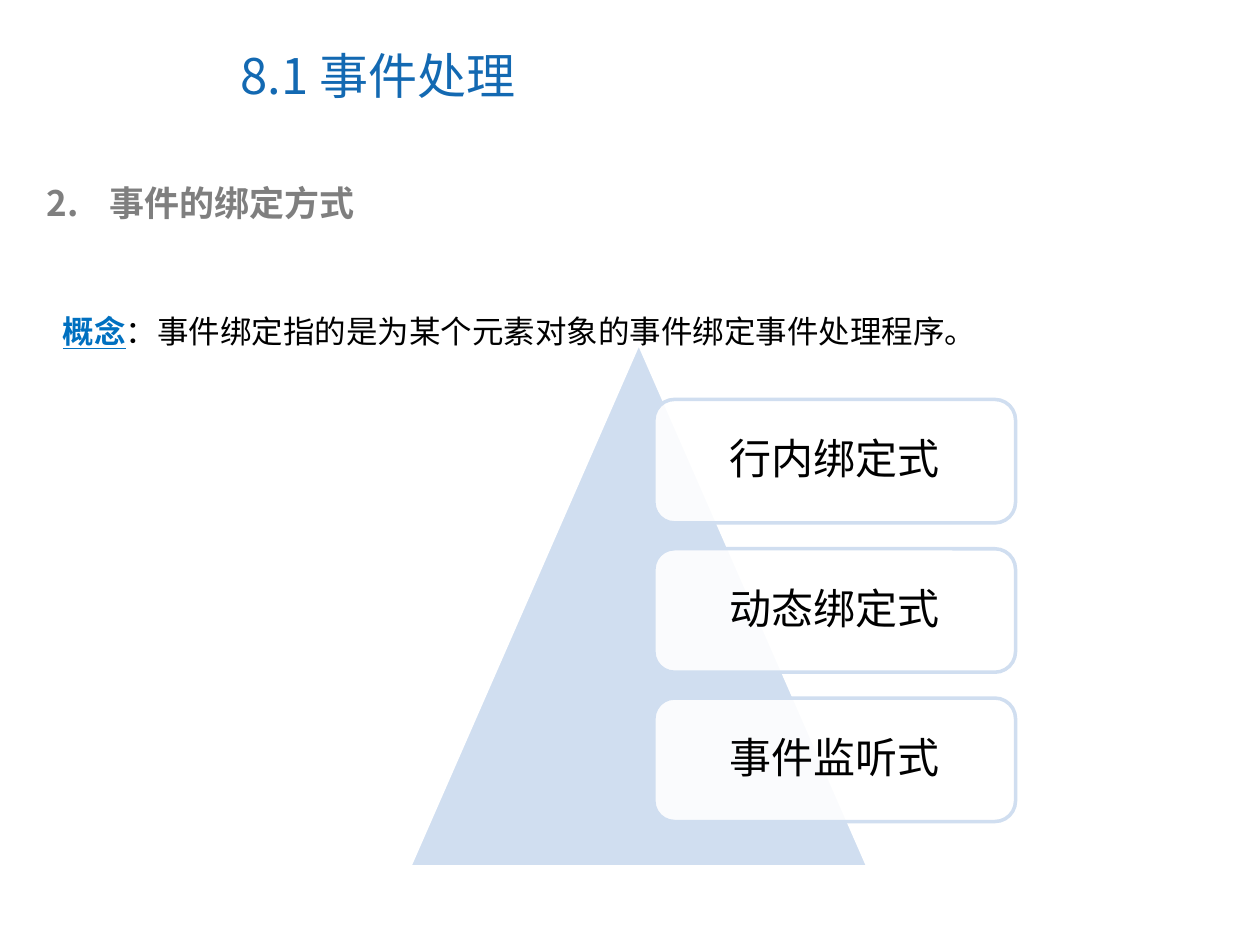
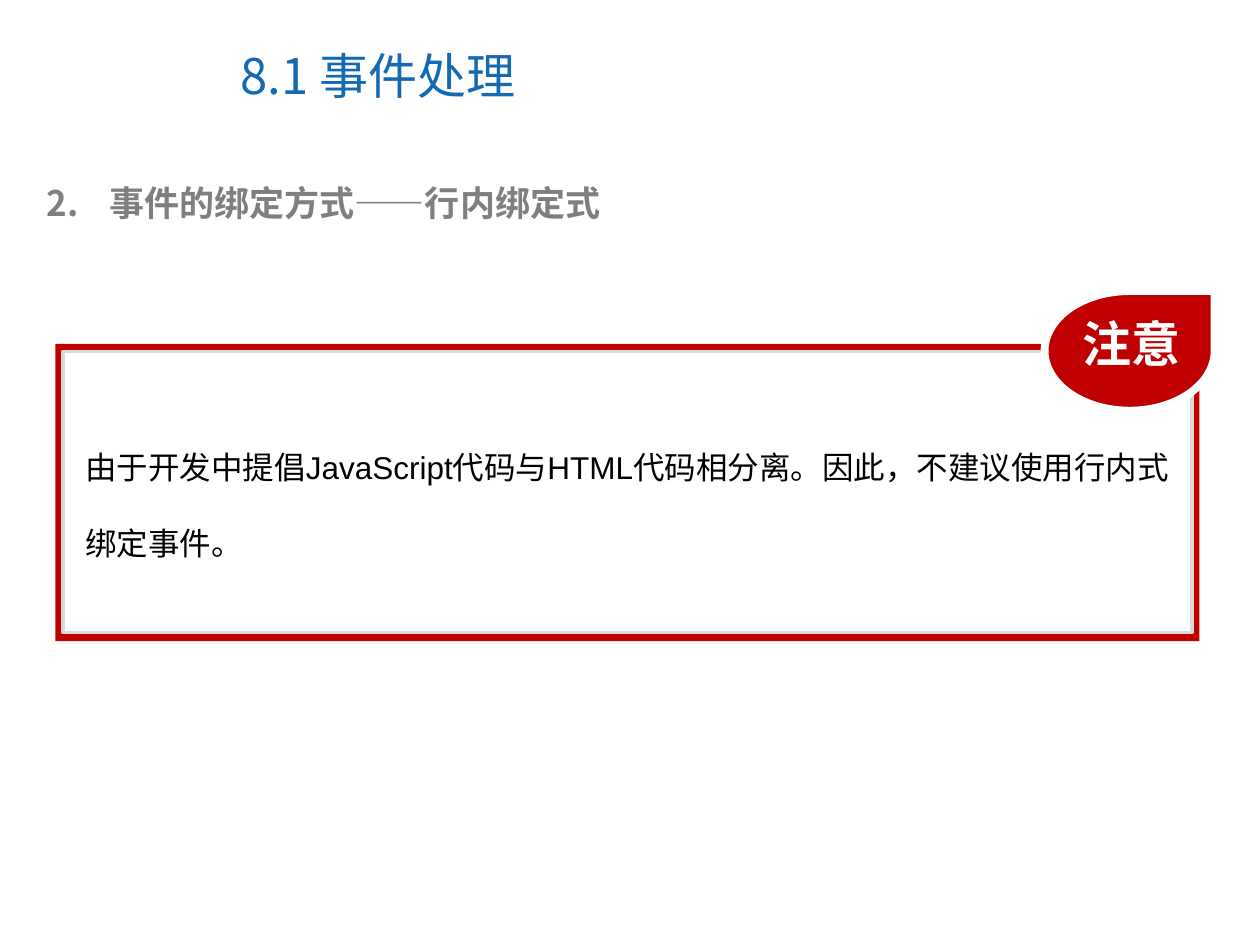
from dataclasses import dataclass

from lxml import etree
from pptx import Presentation
from pptx.dml.color import RGBColor
from pptx.enum.shapes import MSO_SHAPE
from pptx.enum.text import MSO_ANCHOR, MSO_AUTO_SIZE, PP_ALIGN
from pptx.oxml.ns import qn
from pptx.util import Inches, Pt

LEFT, CENTER = PP_ALIGN.LEFT, PP_ALIGN.CENTER
MIDDLE = MSO_ANCHOR.MIDDLE
NO_FIT, GROW = MSO_AUTO_SIZE.NONE, MSO_AUTO_SIZE.SHAPE_TO_FIT_TEXT
RECT, ROUND = MSO_SHAPE.RECTANGLE, MSO_SHAPE.ROUNDED_RECTANGLE
PEAK, DROP = MSO_SHAPE.ISOSCELES_TRIANGLE, MSO_SHAPE.TEAR

COLORS = {
    "title": "1369B2", "head": "7F7F7F", "key": "0070C0", "text": "000000",
    "pale": "D0DEF0", "red": "C00000", "white": "FFFFFF", "edge": "D9D9D9",
}
SANS, BODY = "Noto Sans CJK SC", "Arial"
TITLE = "8.1 事件处理"


@dataclass
class Box:
    left: float
    top: float
    width: float
    height: float

    def place(self) -> tuple:
        return tuple(map(Inches, (self.left, self.top, self.width, self.height)))


@dataclass
class Style:
    size: float
    color: str
    face: str = BODY
    bold: bool = False


TITLE_STYLE = Style(28, "title", SANS)
HEAD_STYLE = Style(20, "head", SANS, True)
BODY_STYLE = Style(18, "text")
CARD_STYLE = Style(24, "text")
BADGE_STYLE = Style(28, "white", SANS, True)


def rgb(name: str) -> RGBColor:
    return RGBColor.from_string(COLORS[name])


def format_par(par, style: Style) -> None:
    font = par.font
    font.size, font.bold, font.name = Pt(style.size), style.bold, style.face
    font.color.rgb = rgb(style.color)
    base = par._p.get_or_add_pPr().find(qn("a:defRPr"))
    etree.SubElement(base, qn("a:ea"), typeface=SANS)


def add_text(slide, box: Box, text: str, style: Style, wrap=True, lines=None):
    frame = slide.shapes.add_textbox(*box.place()).text_frame
    frame.word_wrap, frame.auto_size = wrap, GROW
    par = frame.paragraphs[0]
    par.text = text
    if lines:
        par.line_spacing = lines
    format_par(par, style)
    return par


def add_form(slide, kind, box: Box, fill: str, edge=None, weight=2.0):
    form = slide.shapes.add_shape(kind, *box.place())
    form.shadow.inherit = False
    form.fill.solid()
    form.fill.fore_color.rgb = rgb(fill)
    if edge:
        form.line.color.rgb = rgb(edge)
        form.line.width = Pt(weight)
    else:
        form.line.fill.background()
    return form


def add_head(slide, text: str) -> None:
    par = add_text(slide, Box(0.27, 1.39, 9.22, 0.44), text, HEAD_STYLE)
    props = par._p.get_or_add_pPr()
    props.set("marL", str(Inches(0.5)))
    props.set("indent", str(Inches(-0.5)))
    # Numbering goes ahead of the default run properties
    tint = etree.Element(qn("a:buClr"))
    etree.SubElement(tint, qn("a:srgbClr"), val=COLORS["head"])
    count = etree.Element(qn("a:buAutoNum"), type="arabicPeriod", startAt="2")
    base = props.find(qn("a:defRPr"))
    base.addprevious(tint)
    base.addprevious(count)


def add_page(deck, head: str):
    slide = deck.slides.add_slide(deck.slide_layouts[5])
    title = slide.shapes.title
    title.left, title.top, title.width, title.height = Box(1.81, 0.17, 5.16, 0.85).place()
    frame = title.text_frame
    frame.auto_size, frame.vertical_anchor = NO_FIT, MIDDLE
    frame.text = TITLE
    frame.paragraphs[0].alignment = LEFT
    format_par(frame.paragraphs[0], TITLE_STYLE)
    add_head(slide, head)
    return slide


def add_card(slide, box: Box, text: str) -> None:
    card = add_form(slide, ROUND, box, "white", "pale")
    tint = card._element.spPr.find(qn("a:solidFill"))[0]
    etree.SubElement(tint, qn("a:alpha"), val="90000")
    frame = card.text_frame
    frame.word_wrap, frame.vertical_anchor = True, MIDDLE
    par = frame.paragraphs[0]
    par.text, par.alignment, par.line_spacing = text, CENTER, 0.9
    par.space_after = Pt(10.5)
    format_par(par, CARD_STYLE)


def bind_page(deck) -> None:
    slide = add_page(deck, "事件的绑定方式")
    # Definition
    par = add_text(slide, Box(0.4, 2.13, 9.19, 0.7), "概念", BODY_STYLE, lines=2.0)
    key = par.runs[0].font
    key.bold = key.underline = True
    key.color.rgb = rgb("key")
    par.add_run().text = "：事件绑定指的是为某个元素对象的事件绑定事件处理程序。"
    # Pyramid with three cards
    add_form(slide, PEAK, Box(3.25, 2.72, 3.64, 4.16), "pale", "white")
    top, step = 3.17, 1.185
    for row, name in enumerate(("行内绑定式", "动态绑定式", "事件监听式")):
        add_card(slide, Box(5.19, top + row * step, 2.87, 0.98), name)


def note_page(deck) -> None:
    slide = add_page(deck, "事件的绑定方式——行内绑定式")
    # Framed panel
    add_form(slide, RECT, Box(0.44, 2.73, 9.08, 2.36), "red")
    add_form(slide, RECT, Box(0.5, 2.79, 8.96, 2.23), "white", "edge")
    # Badge
    add_form(slide, DROP, Box(8.29, 2.31, 1.35, 0.95), "red", "white", 4.5)
    add_text(slide, Box(8.49, 2.44, 1, 0.57), "注意", BADGE_STYLE, wrap=False)
    # Advice
    add_text(slide, Box(0.58, 3.21, 8.9, 1.3),
             "由于开发中提倡JavaScript代码与HTML代码相分离。因此，不建议使用行内式绑定事件。",
             BODY_STYLE, lines=2.0)


def main() -> None:
    deck = Presentation()
    deck.slide_width, deck.slide_height = Inches(10), Inches(7.5)
    bind_page(deck)
    note_page(deck)
    deck.save("out.pptx")


if __name__ == "__main__":
    main()
